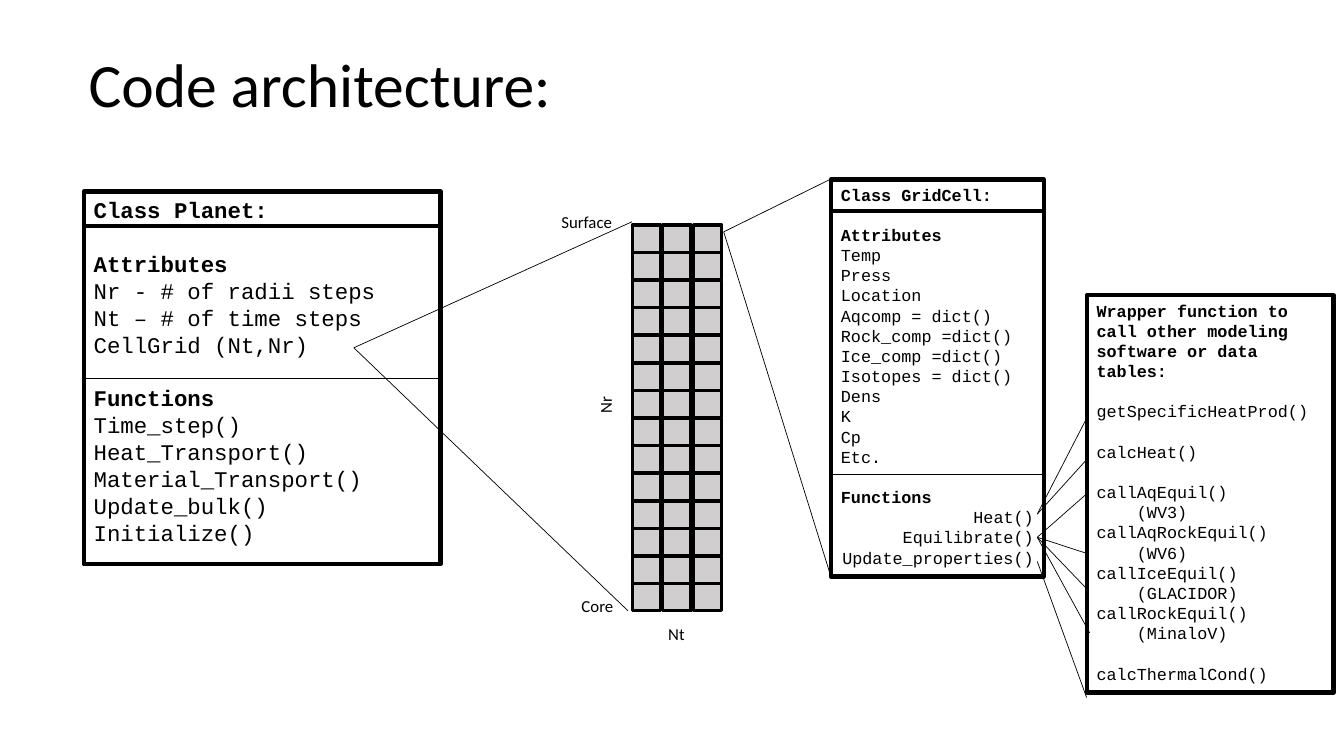
from dataclasses import dataclass

from lxml import etree
from pptx import Presentation
from pptx.dml.color import RGBColor
from pptx.enum.shapes import MSO_CONNECTOR, MSO_SHAPE
from pptx.enum.text import MSO_ANCHOR, PP_ALIGN
from pptx.oxml.ns import qn
from pptx.util import Inches, Pt

RECTANGLE = MSO_SHAPE.RECTANGLE
STRAIGHT = MSO_CONNECTOR.STRAIGHT
TOP, MIDDLE = MSO_ANCHOR.TOP, MSO_ANCHOR.MIDDLE
LEFT, RIGHT = PP_ALIGN.LEFT, PP_ALIGN.RIGHT

WIDTH, HEIGHT = Inches(13.33), Inches(7.5)


@dataclass(frozen=True)
class Theme:
    ink: RGBColor = RGBColor(0x00, 0x00, 0x00)
    cell: RGBColor = RGBColor(0xD0, 0xCE, 0xCE)
    sans: str = "Calibri"
    mono: str = "Courier New"
    title: int = 44
    large: int = 16
    small: int = 12
    line_height: float = 1.2
    thin: float = 0.5
    medium: float = 2.25
    thick: float = 3


@dataclass(frozen=True)
class Row:
    text: str
    bold: bool = False
    gap: bool = False  # one line of space above
    indent: int = 0  # in characters
    align: PP_ALIGN = LEFT


THEME = Theme()

# Wording of the three code boxes
PLANET_ROWS = [
    Row("Class Planet:", bold=True),
    Row("Attributes", bold=True, gap=True),
    Row("Nr - # of radii steps"),
    Row("Nt – # of time steps"),
    Row("CellGrid (Nt,Nr)"),
    Row("Functions", bold=True, gap=True),
    Row("Time_step()"),
    Row("Heat_Transport()"),
    Row("Material_Transport()"),
    Row("Update_bulk()"),
    Row("Initialize()"),
]
GRID_CELL_ATTRIBUTES = [
    "Temp", "Press", "Location", "Aqcomp = dict()", "Rock_comp =dict()",
    "Ice_comp =dict()", "Isotopes = dict()", "Dens", "K", "Cp", "Etc.",
]
GRID_CELL_ROWS = [
    Row("Class GridCell:", bold=True),
    Row("Attributes", bold=True, gap=True),
    *[Row(name) for name in GRID_CELL_ATTRIBUTES],
    Row("Functions", bold=True, gap=True),
    Row("Heat()", align=RIGHT),
    Row("Equilibrate()", align=RIGHT),
    Row("Update_properties()", align=RIGHT),
]
WRAPPER_ROWS = [
    Row("Wrapper function to call other modeling software or data tables:", bold=True),
    Row("getSpecificHeatProd()", gap=True),
    Row("calcHeat()", gap=True),
    Row("callAqEquil()", gap=True),
    Row("(WV3)", indent=4),
    Row("callAqRockEquil()"),
    Row("(WV6)", indent=4),
    Row("callIceEquil()"),
    Row("(GLACIDOR)", indent=4),
    Row("callRockEquil()"),
    Row("(MinaloV)", indent=4),
    Row("calcThermalCond()", gap=True),
]

# Places as (left, top, width, height), in percent of the slide
TITLE_AREA = (5.85, 1.87, 86.25, 19.33)
PLANET_AREA = (6.23, 25.33, 26.55, 49.33)
GRID_CELL_AREA = (61.83, 23.73, 15.83, 52.53)
WRAPPER_AREA = (80.85, 39.07, 18.38, 52.53)
LABEL_SIZE = (15.83, 4)

# Cell grid: Nt columns by Nr rows
GRID_COLUMNS, GRID_ROWS = 3, 14
GRID_LEFT, GRID_TOP = 47.03, 29.77
CELL_WIDTH, CELL_HEIGHT = 2.1, 3.6
COLUMN_STEP, ROW_STEP = 2.29, 3.65

# Thin lines: one starting point and the points it leads to
FANS = [
    ((26.33, 46), [(46.73, 80.8), (47.03, 29.33)]),
    ((53.85, 30.67), [(61.77, 23.73), (61.8, 76.13)]),
    ((77.18, 68), [(80.85, 55.33), (80.85, 60.8)]),
    ((77.18, 71.07), [(80.85, 65.33), (80.85, 73.2), (80.85, 77.87), (81.08, 83.73)]),
    ((77.18, 74.27), [(80.85, 92.27)]),
]


def across(percent):
    return round(WIDTH * percent / 100)


def down(percent):
    return round(HEIGHT * percent / 100)


def place(area):
    left, top, width, height = area
    return across(left), down(top), across(width), down(height)


def add_rectangle(slide, area, weight, fill=None):
    shape = slide.shapes.add_shape(RECTANGLE, *place(area))
    shape.shadow.inherit = False
    if fill is None:
        shape.fill.background()
    else:
        shape.fill.solid()
        shape.fill.fore_color.rgb = fill
    shape.line.color.rgb = THEME.ink
    shape.line.width = Pt(weight)
    return shape


def add_line(slide, start, end, weight=THEME.thin):
    line = slide.shapes.add_connector(
        STRAIGHT, across(start[0]), down(start[1]), across(end[0]), down(end[1]))
    line.line.color.rgb = THEME.ink
    line.line.width = Pt(weight)
    etree.SubElement(line._element.spPr, qn("a:effectLst"))


def add_run(paragraph, text, font, size, bold=False):
    run = paragraph.add_run()
    run.text = text
    run.font.name = font
    run.font.size = Pt(size)
    run.font.bold = bold
    run.font.color.rgb = THEME.ink


def add_text(slide, area, text, size, anchor=TOP, rotation=0):
    box = slide.shapes.add_textbox(*place(area))
    box.rotation = rotation
    frame = box.text_frame
    frame.word_wrap = True
    frame.vertical_anchor = anchor
    add_run(frame.paragraphs[0], text, THEME.sans, size)
    return frame.paragraphs[0]


def add_code_box(slide, area, rows, size, dividers=()):
    frame = add_rectangle(slide, area, THEME.thick).text_frame
    frame.word_wrap = True
    frame.vertical_anchor = TOP
    for index, row in enumerate(rows):
        paragraph = frame.add_paragraph() if index else frame.paragraphs[0]
        paragraph.alignment = row.align
        if row.gap:
            paragraph.space_before = Pt(size * THEME.line_height)
        if row.indent:
            # A monospaced character is 0.6 of its type size wide
            paragraph._p.get_or_add_pPr().set("marL", str(Pt(row.indent * size * 0.6)))
        add_run(paragraph, row.text, THEME.mono, size, row.bold)
    left, _, width, _ = area
    for top, weight in dividers:
        add_line(slide, (left, top), (left + width, top), weight)


def add_cell_grid(slide):
    for column in range(GRID_COLUMNS):
        for row in range(GRID_ROWS):
            area = (GRID_LEFT + column * COLUMN_STEP, GRID_TOP + row * ROW_STEP,
                    CELL_WIDTH, CELL_HEIGHT)
            add_rectangle(slide, area, THEME.medium, THEME.cell)


def main():
    presentation = Presentation()
    presentation.slide_width, presentation.slide_height = WIDTH, HEIGHT
    slide = presentation.slides.add_slide(presentation.slide_layouts[6])

    title = add_text(slide, TITLE_AREA, "Code architecture:", THEME.title, MIDDLE)
    title.line_spacing = 0.9

    # Cell grid and its axis labels
    add_cell_grid(slide)
    for text, left, top, rotation in [("Surface", 41.03, 27.33, 0), ("Core", 42.53, 78.13, 0),
                                      ("Nr", 37.13, 39.87, 270), ("Nt", 48.98, 81.87, 0)]:
        add_text(slide, (left, top, *LABEL_SIZE), text, THEME.small, rotation=rotation)

    # Code boxes
    add_code_box(slide, PLANET_AREA, PLANET_ROWS, THEME.large,
                 [(29.87, THEME.thick), (50, THEME.thin)])
    add_code_box(slide, GRID_CELL_AREA, GRID_CELL_ROWS, THEME.small,
                 [(27.87, THEME.thick), (62.8, THEME.thin)])
    add_code_box(slide, WRAPPER_AREA, WRAPPER_ROWS, THEME.small)

    # Links between the parts
    for start, ends in FANS:
        for end in ends:
            add_line(slide, start, end)

    presentation.save("out.pptx")


if __name__ == "__main__":
    main()
